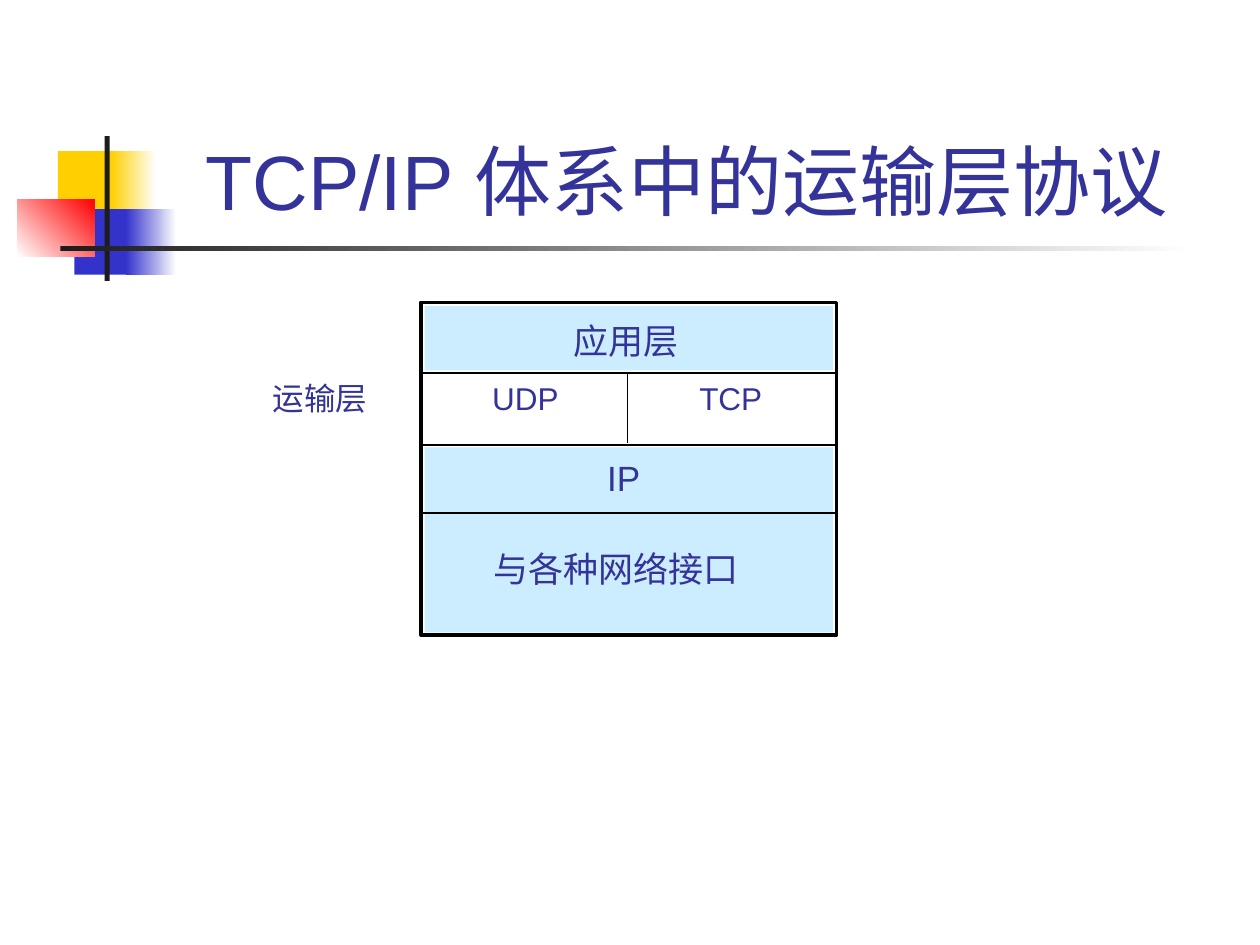
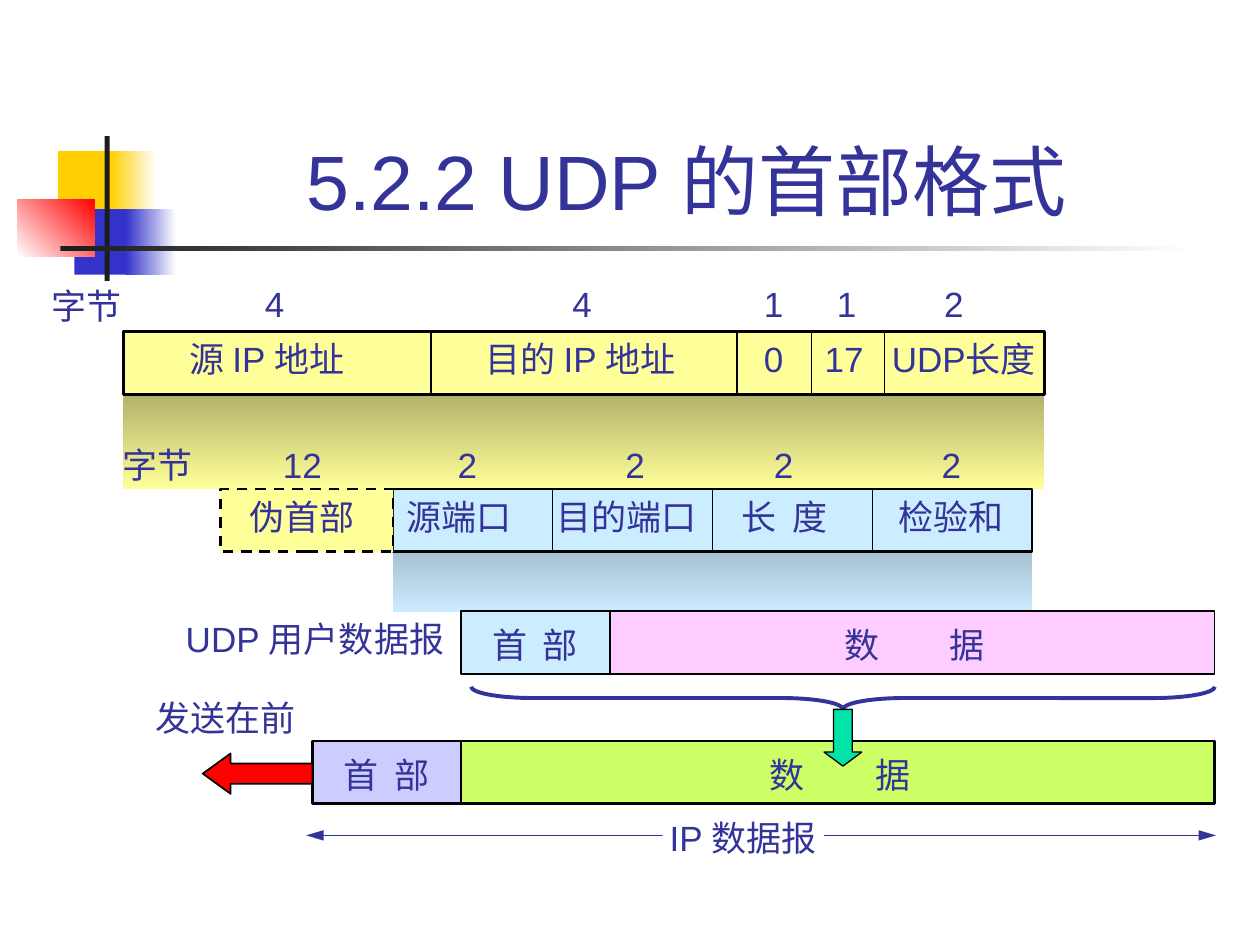
from lxml.etree import SubElement
from pptx import Presentation
from pptx.dml.color import RGBColor
from pptx.enum.dml import MSO_LINE as Dash
from pptx.enum.shapes import MSO_CONNECTOR as Connector, MSO_SHAPE as Shape
from pptx.enum.text import MSO_ANCHOR as Anchor, PP_ALIGN as Align
from pptx.oxml.ns import qn
from pptx.util import Inches, Pt

COLORS = {
    "text": "333399", "black": "000000", "white": "FFFFFF",
    "gold": "FFCF01", "blue": "3333CC", "red": "FF0000", "ink": "1C1C1C",
    "sky": "CCECFF", "sky_shade": "A7C1D1",
    "yellow": "FFFF99", "yellow_shade": "B2B26B",
    "pink": "FFCCFF", "lime": "CCFF66", "lilac": "CCCCFF", "green": "00E4A8",
}
FONT = "Arial"
CHAR = 0.28  # width of one 20 pt Chinese character
INSET = 0.1


def rgb(name):
    return RGBColor.from_string(COLORS[name])


def paint(fill, color, angle=0):
    """Fill with one colour, or with a gradient between a pair of colours."""
    if isinstance(color, tuple):
        fill.gradient()
        fill.gradient_angle = angle
        for stop, name in zip(fill.gradient_stops, color):
            stop.color.rgb = rgb(name)
    elif color:
        fill.solid()
        fill.fore_color.rgb = rgb(color)
    else:
        fill.background()


def block(slide, left, top, width, height, color, angle=0, line=0,
          line_color="black", kind=Shape.RECTANGLE):
    shape = slide.shapes.add_shape(
        kind, Inches(left), Inches(top), Inches(width), Inches(height))
    shape.shadow.inherit = False
    paint(shape.fill, color, angle)
    if line:
        shape.line.color.rgb = rgb(line_color)
        shape.line.width = Pt(line)
    else:
        shape.line.fill.background()
    return shape


def rule(slide, x1, y1, x2, y2, width=1.0, color="black", arrows=False):
    line = slide.shapes.add_connector(
        Connector.STRAIGHT, Inches(x1), Inches(y1), Inches(x2), Inches(y2))
    line.line.color.rgb = rgb(color)
    line.line.width = Pt(width)
    properties = line._element.spPr
    if arrows:
        outline = properties.find(qn("a:ln"))
        for end in ("a:headEnd", "a:tailEnd"):
            SubElement(outline, qn(end), type="triangle", w="med", len="lg")
    SubElement(properties, qn("a:effectLst"))


def write(slide, text, left, top, width, height, size, tab=None, **formats):
    box = slide.shapes.add_textbox(
        Inches(left), Inches(top), Inches(width), Inches(height))
    frame = box.text_frame
    for name, value in formats.items():
        setattr(frame, name, value)
    paragraph = frame.paragraphs[0]
    paragraph.alignment = Align.LEFT if tab else Align.CENTER
    if tab:
        stops = SubElement(paragraph._p.get_or_add_pPr(), qn("a:tabLst"))
        SubElement(stops, qn("a:tab"), pos=str(Inches(tab)), algn="l")
    run = paragraph.add_run()
    run.text = text
    font = {"size": Pt(size), "name": FONT}
    for name, value in font.items():
        setattr(run.font, name, value)
    run.font.color.rgb = rgb("text")


def label(slide, text, center, top, size=20):
    width = 2.4
    write(slide, text, center - width / 2, top, width, 0.44, size,
          word_wrap=False)


def spread_label(slide, text, center, top, step):
    """Two characters whose left edges are a step apart."""
    width = step + CHAR + 2 * INSET
    write(slide, "\t".join(text), center - width / 2, top, width, 0.44, 20,
          tab=step, word_wrap=False)


# Shared decoration and title
def master_art(slide, left=0.14, top=1.08):
    pieces = [
        (0.32, 0.12, 0.48, 0.52, "gold", 0),
        (0.74, 0.12, 0.36, 0.52, ("gold", "white"), 0),
        (0.45, 0.58, 0.46, 0.52, "blue", 0),
        (0.86, 0.58, 0.40, 0.52, ("blue", "white"), 0),
        (0, 0.50, 0.61, 0.46, ("white", "red"), 45),
        (0.69, 0, 0.04, 1.15, "ink", 0),
        (0.34, 0.87, 9, 0.04, ("ink", "white"), 0),
    ]
    for x, y, width, height, color, angle in pieces:
        block(slide, left + x, top + y, width, height, color, angle)


def titled_slide(deck, title):
    slide = deck.slides.add_slide(deck.slide_layouts[6])
    master_art(slide)
    write(slide, title, 1.19, 0.24, 8.52, 1.6, 44,
          word_wrap=True, vertical_anchor=Anchor.BOTTOM)
    return slide


# Protocol stack
def protocol_stack(slide, left, top, width=3.3, height=2.64):
    gap = 0.03
    middle = left + 1.64
    block(slide, left, top, width, height, "white", line=2)
    for y, depth in ((gap, 0.51), (1.15, 1.47)):
        block(slide, left + gap, top + y, width - 2 * gap, depth, "sky")
    for y in (0.56, 1.13, 1.67):
        rule(slide, left, top + y, left + width, top + y)
    rule(slide, middle, top + 0.57, middle, top + 1.12)

    layers = [
        ("应用层", 1.63, 0.09, 20), ("UDP", 0.83, 0.56, 18),
        ("TCP", 2.46, 0.56, 18), ("IP", 1.61, 1.17, 20),
        ("与各种网络接口", 1.55, 1.9, 20), ("运输层", -0.8, 0.56, 18),
    ]
    for text, center, y, size in layers:
        label(slide, text, left + center, top + y, size)


# A row of header fields with its byte counts and the band below it
def header_fields(slide, left, top, width, color, shade, band, fields,
                  dividers, bytes_rise):
    height = 0.5
    block(slide, left, top + height, width, band, (shade, color), 270)
    block(slide, left, top, width, height, color, line=1.5)
    for x in dividers:
        rule(slide, left + x, top, left + x, top + height, 0.75)
    for text, center, count, count_center in fields:
        if text == "长度":
            spread_label(slide, text, left + center, top, 0.4)
        else:
            label(slide, text, left + center, top)
        label(slide, count, left + count_center, top - bytes_rise)


def pseudo_header(slide, left, top):
    width = 1.37
    box = block(slide, left, top, width, 0.5, "yellow", line=1.5)
    box.line.dash_style = Dash.DASH
    for text, y in (("伪首部", 0), ("12", -0.41)):
        label(slide, text, left + 0.65, top + y)


# A datagram: header followed by data
def datagram(slide, left, top, data_width, header, data, line):
    header_width = 1.18
    data_left = left + header_width
    block(slide, data_left, top, data_width, 0.5, data, line=line)
    block(slide, left, top, header_width, 0.5, header, line=line)
    spread_label(slide, "首部", left + header_width / 2, top + 0.05, 0.4)
    spread_label(slide, "数据", data_left + data_width / 2 + 0.02,
                 top + 0.05, 0.84)


# Brace, direction arrows and span of the IP datagram
def encapsulation(slide, left, top):
    length, depth = 5.9, 0.18
    brace = block(slide, left + 1.26 + (length - depth) / 2,
                  top - (length - depth) / 2, depth, length, None,
                  line=2.25, line_color="text", kind=Shape.RIGHT_BRACE)
    brace.rotation = 90
    brace.adjustments[0] = 2.7

    arrows = [
        (Shape.LEFT_ARROW, -0.87, 0.53, 0.87, 0.32, "red", 1, 0.69),
        (Shape.DOWN_ARROW, 4.06, 0.18, 0.3, 0.45, "green", 0.75, 0.37),
    ]
    for kind, x, y, width, height, color, line, head in arrows:
        arrow = block(slide, left + x, top + y, width, height, color,
                      line=line, kind=kind)
        for index, value in enumerate((0.5, head)):
            arrow.adjustments[index] = value

    rule(slide, left - 0.05, top + 1.18, left + 7.17, top + 1.18,
         0.75, "text", arrows=True)
    block(slide, left + 2.78, top + 1.01, 1.28, 0.32, "white")
    label(slide, "IP 数据报", left + 3.42, top + 0.98)
    label(slide, "发送在前", left - 0.69, top + 0.03)


def stack_slide(deck):
    slide = titled_slide(deck, "TCP/IP 体系中的运输层协议")
    protocol_stack(slide, 3.34, 2.4)


def udp_header_slide(deck):
    slide = titled_slide(deck, "5.2.2 UDP 的首部格式")
    pseudo_fields = [
        ("源 IP 地址", 1.14, "4", 1.2), ("目的 IP 地址", 3.63, "4", 3.64),
        ("0", 5.16, "1", 5.16), ("17", 5.72, "1", 5.74),
        ("UDP长度", 6.67, "2", 6.59),
    ]
    udp_fields = [
        ("源端口", 0.52, "2", 0.59), ("目的端口", 1.85, "2", 1.92),
        ("长度", 3.11, "2", 3.1), ("检验和", 4.43, "2", 4.43),
    ]
    udp_width = 5.07
    header_fields(slide, 0.98, 2.63, 7.31, "yellow", "yellow_shade", 0.75,
                  pseudo_fields, (2.44, 4.87, 5.46, 6.04), 0.44)
    header_fields(slide, 3.12, 3.88, udp_width, "sky", "sky_shade", 0.48,
                  udp_fields, [udp_width * n / 4 for n in (1, 2, 3)], 0.41)
    pseudo_header(slide, 1.75, 3.88)
    datagram(slide, 3.66, 4.85, 4.8, "sky", "pink", 1)
    datagram(slide, 2.48, 5.88, 5.98, "lilac", "lime", 1.5)
    encapsulation(slide, 2.48, 5.45)
    for text, center, top in (("字节", 0.69, 2.21), ("字节", 1.25, 3.47),
                              ("UDP 用户数据报", 2.5, 4.85)):
        label(slide, text, center, top)


def main():
    deck = Presentation()
    deck.slide_width, deck.slide_height = Inches(10), Inches(7.5)
    stack_slide(deck)
    udp_header_slide(deck)
    deck.save("out.pptx")


if __name__ == "__main__":
    main()
